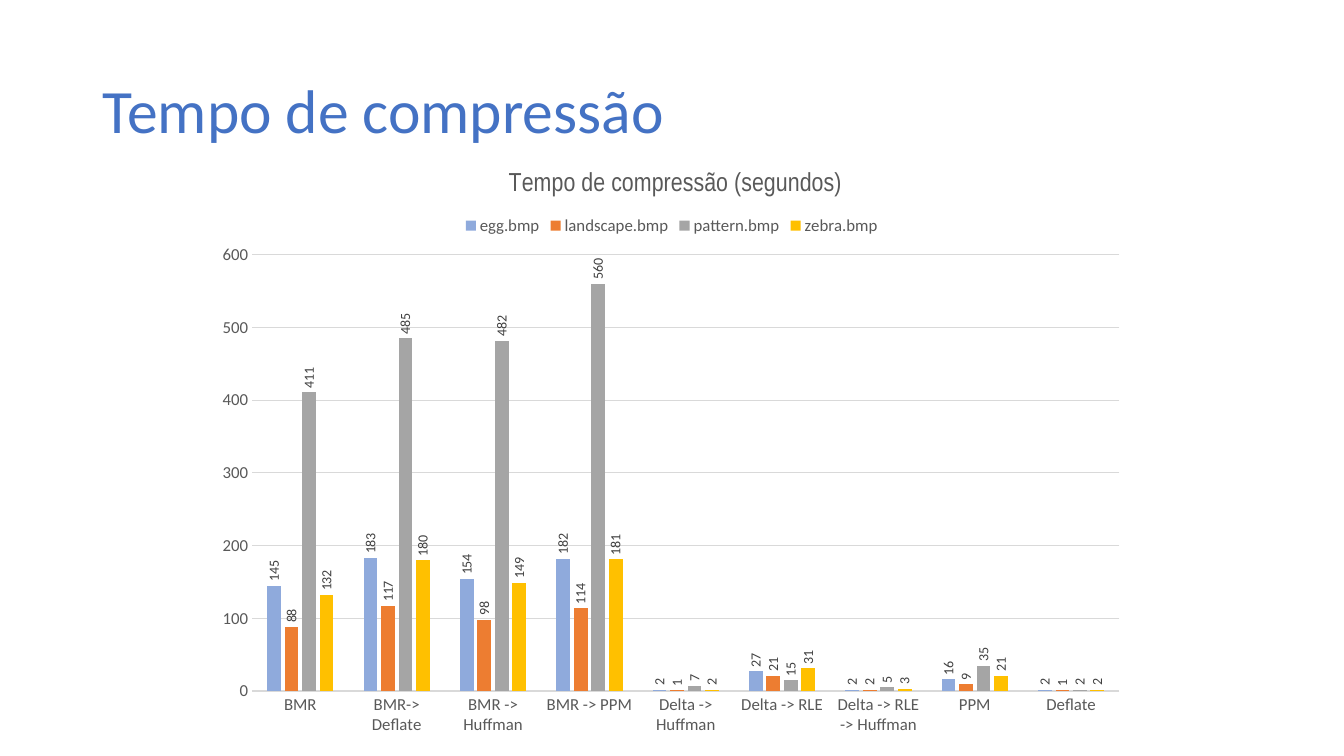
from lxml.etree import SubElement
from pptx import Presentation
from pptx.chart.data import CategoryChartData
from pptx.dml.color import RGBColor
from pptx.enum.chart import XL_CHART_TYPE as ChartType
from pptx.enum.chart import XL_LABEL_POSITION as LabelPosition
from pptx.enum.chart import XL_LEGEND_POSITION as LegendPosition
from pptx.enum.chart import XL_TICK_MARK as TickMark
from pptx.enum.text import MSO_ANCHOR as Anchor
from pptx.oxml import parse_xml
from pptx.oxml.ns import nsdecls, qn
from pptx.util import Cm, Pt

CATEGORIES = ["BMR", "BMR-> Deflate", "BMR -> Huffman", "BMR -> PPM",
              "Delta -> Huffman", "Delta -> RLE", "Delta -> RLE -> Huffman",
              "PPM", "Deflate"]
# File name, bar colour, compression time in seconds per category
FILES = [
    ("egg.bmp", "8FAADC", [145, 183, 154, 182, 2, 27, 2, 16, 2]),
    ("landscape.bmp", "ED7D31", [88, 117, 98, 114, 1, 21, 2, 9, 1]),
    ("pattern.bmp", "A5A5A5", [411, 485, 482, 560, 7, 15, 5, 35, 2]),
    ("zebra.bmp", "FFC000", [132, 180, 149, 181, 2, 31, 3, 21, 2]),
]


def rgb(code):
    return RGBColor.from_string(code)


def place(element, after, **fractions):
    """Give a chart part a manual layout, in fractions of the chart."""
    for old in element.findall(qn("c:layout")):
        element.remove(old)
    layout = parse_xml(f"<c:layout {nsdecls('c')}/>")
    manual = SubElement(layout, qn("c:manualLayout"))
    if "w" in fractions:
        SubElement(manual, qn("c:layoutTarget")).set("val", "inner")
    for axis in "xy":
        SubElement(manual, qn(f"c:{axis}Mode")).set("val", "edge")
    for name, value in fractions.items():
        SubElement(manual, qn(f"c:{name}")).set("val", str(value))
    position = 0 if after is None else element.index(element.find(qn(after))) + 1
    element.insert(position, layout)


class Slide:
    font = "Calibri"
    title_color = "4472C4"
    text_color = "595959"
    label_color = "404040"
    grid_color = "D9D9D9"

    def __init__(self, deck):
        self.page = deck.slides.add_slide(deck.slide_layouts[6])

    def style(self, font, size, color, name=None):
        font.name = name or self.font
        font.size = Pt(size)
        font.bold = False
        font.color.rgb = rgb(color)

    def title(self, text, left, top, width, height):
        box = self.page.shapes.add_textbox(Cm(left), Cm(top), Cm(width), Cm(height))
        frame = box.text_frame
        frame.word_wrap = True
        frame.vertical_anchor = Anchor.MIDDLE
        frame.text = text
        para = frame.paragraphs[0]
        para.line_spacing = 0.9
        self.style(para.runs[0].font, 44, self.title_color)

    def column_chart(self, heading, left, top, width, height):
        data = CategoryChartData()
        data.categories = CATEGORIES
        for name, _, seconds in FILES:
            data.add_series(name, seconds)
        chart = self.page.shapes.add_chart(
            ChartType.COLUMN_CLUSTERED, Cm(left), Cm(top), Cm(width), Cm(height),
            data).chart
        self.style(chart.font, 10, "000000")
        place(chart.element.find(".//" + qn("c:plotArea")), None,
              x=0.05, y=0.18, w=0.93, h=0.73)

        # Heading and legend
        chart.has_title = True
        frame = chart.chart_title.text_frame
        frame.text = heading
        self.style(frame.paragraphs[0].runs[0].font, 18.6, self.text_color,
                   "Arial Narrow")
        chart.chart_title.include_in_layout = False
        place(chart.element.find(".//" + qn("c:title")), "c:tx", x=0.32, y=0.03)
        chart.has_legend = True
        chart.legend.position = LegendPosition.TOP
        chart.legend.include_in_layout = False
        self.style(chart.legend.font, 12, self.text_color)

        self.axes(chart)
        self.bars(chart.plots[0])

    def axes(self, chart):
        for axis in (chart.category_axis, chart.value_axis):
            axis.major_tick_mark = axis.minor_tick_mark = TickMark.NONE
            self.style(axis.tick_labels.font, 12, self.text_color)
        values = chart.value_axis
        values.minimum_scale, values.maximum_scale, values.major_unit = 0, 600, 100
        values.format.line.fill.background()
        for part in (chart.category_axis, values.major_gridlines):
            part.format.line.color.rgb = rgb(self.grid_color)
            part.format.line.width = Pt(0.75)

    def bars(self, plot):
        plot.gap_width = 219
        plot.overlap = -27
        plot.vary_by_categories = False
        for series, (_, color, _) in zip(plot.series, FILES):
            series.format.fill.solid()
            series.format.fill.fore_color.rgb = rgb(color)
            labels = series.data_labels
            labels.show_value = True
            labels.position = LabelPosition.OUTSIDE_END
            self.style(labels.font, 10, self.label_color)
        # Turn the value labels upright
        for body in plot._element.iterfind(".//" + qn("c:dLbls") + "//" + qn("a:bodyPr")):
            body.set("rot", "-5400000")
            body.set("vert", "horz")


def main():
    deck = Presentation()
    deck.slide_width, deck.slide_height = Cm(33.87), Cm(19.05)
    slide = Slide(deck)
    slide.column_chart("Tempo de compressão (segundos)", 5.18, 3.71, 23.5, 15.06)
    slide.title("Tempo de compressão", 2.34, 1.02, 29.21, 3.68)
    deck.save("out.pptx")


if __name__ == "__main__":
    main()
